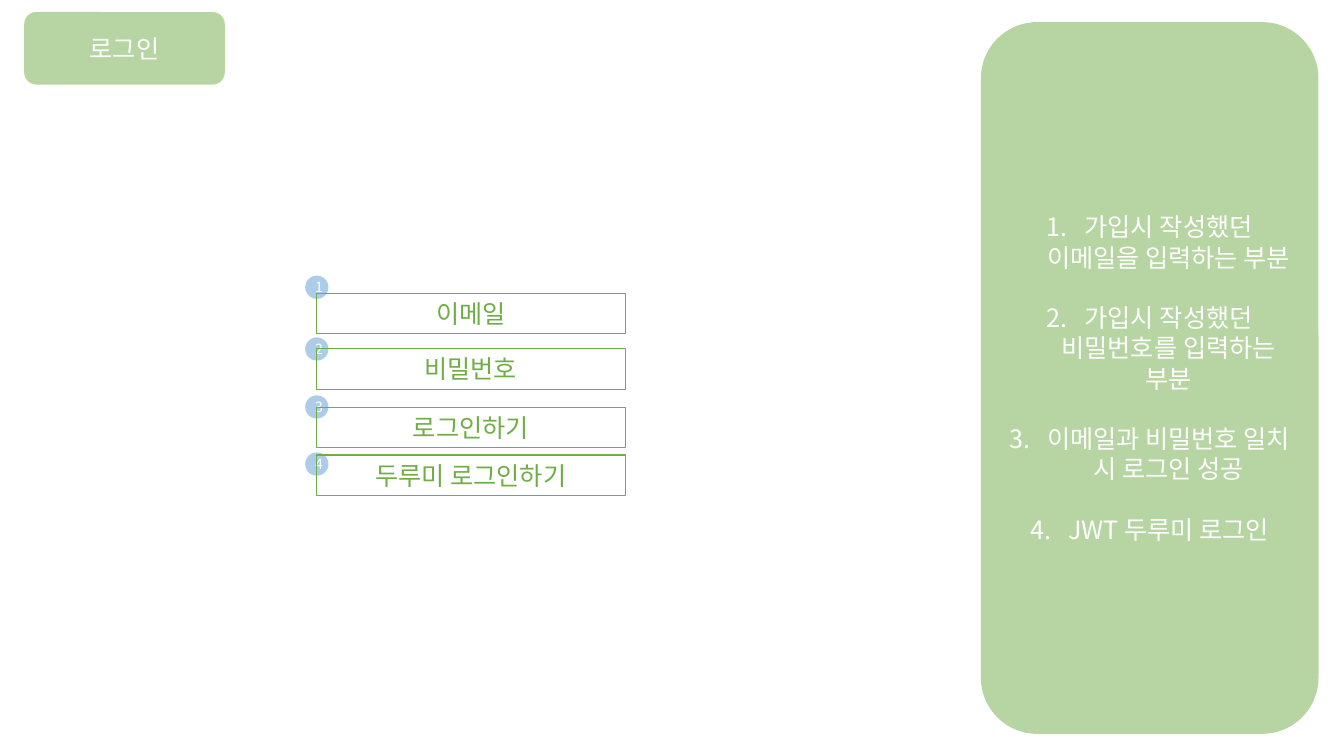
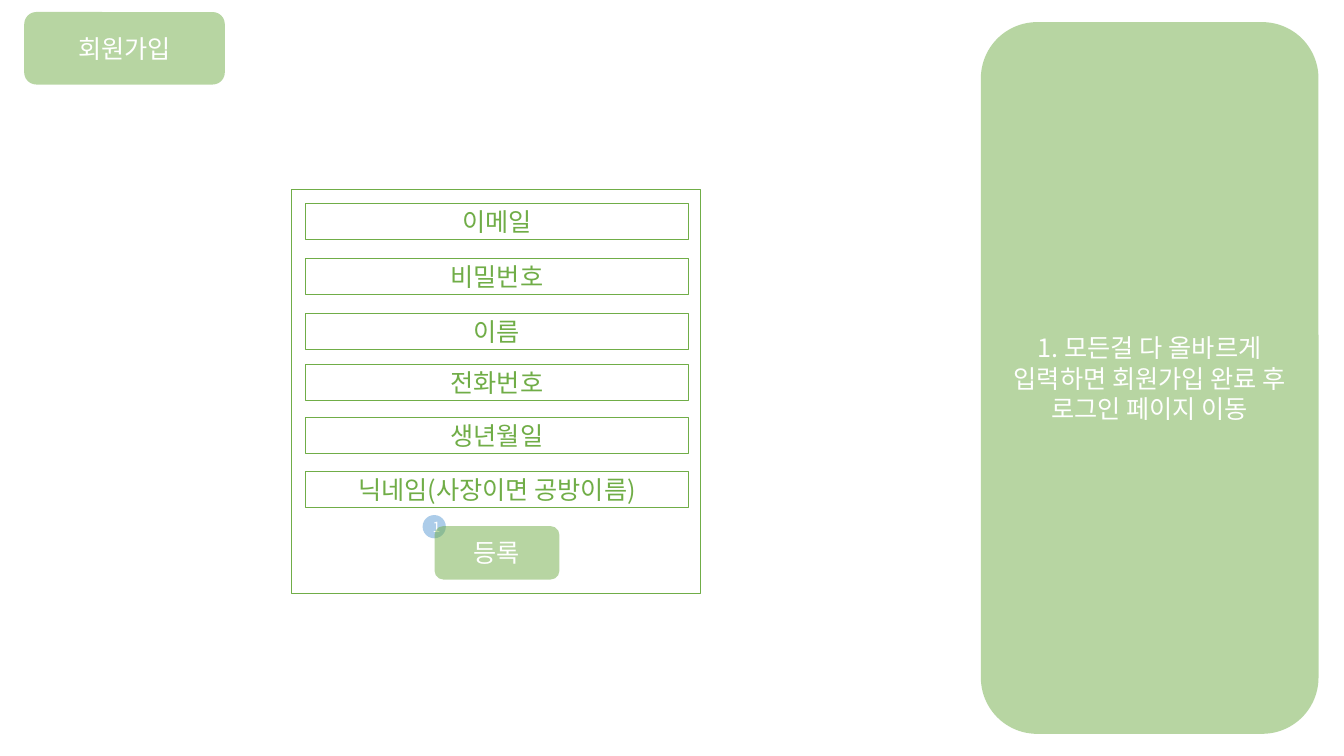
"""Build the login and sign-up wireframe slides."""
import dataclasses

import lxml.etree
import pptx
import pptx.dml.color
import pptx.enum.shapes
import pptx.enum.text
import pptx.oxml.ns
import pptx.util

Pt = pptx.util.Pt
SHAPES = pptx.enum.shapes.MSO_SHAPE
qn = pptx.oxml.ns.qn


@dataclasses.dataclass(frozen=True)
class Theme:
    font: str = "Noto Sans CJK KR"
    green: str = "70AD47"
    blue: str = "5B9BD5"
    white: str = "FFFFFF"
    body_size: float = 18
    badge_size: float = 10
    line_width: float = 0.75
    opacity: int = 50
    list_gap: float = 21.6
    list_indent: float = 27


class Wireframe:
    def __init__(self, theme):
        self.theme = theme
        self.deck = pptx.Presentation()
        self.deck.slide_width = Pt(960)
        self.deck.slide_height = Pt(540)
        self.page = None

    def add_page(self, title, notes, numbered=False):
        self.page = self.deck.slides.add_slide(self.deck.slide_layouts[6])
        panel = self.add_solid(SHAPES.ROUNDED_RECTANGLE, (700.6, 15.8, 241.2, 508.4), notes)
        if numbered:
            self.number_paragraphs(panel)
        self.add_button((17.3, 8.6, 143.3, 51.8), title)

    def add_box(self, kind, area, lines, color, size):
        box = self.page.shapes.add_shape(kind, *(Pt(value) for value in area))
        box.shadow.inherit = False
        frame = box.text_frame
        frame.word_wrap = True
        frame.vertical_anchor = pptx.enum.text.MSO_ANCHOR.MIDDLE
        frame.text = "\n".join(lines)
        for para in frame.paragraphs:
            para.alignment = pptx.enum.text.PP_ALIGN.CENTER
            for span in para.runs:
                span.font.size = Pt(size)
                span.font.color.rgb = pptx.dml.color.RGBColor.from_string(color)
                span.font.name = self.theme.font
                east_asian = lxml.etree.SubElement(span.font._element, qn("a:ea"))
                east_asian.set("typeface", self.theme.font)
        return box

    def add_solid(self, kind, area, lines, fill=None, size=None):
        theme = self.theme
        box = self.add_box(kind, area, lines, theme.white, size or theme.body_size)
        box.fill.solid()
        box.fill.fore_color.rgb = pptx.dml.color.RGBColor.from_string(fill or theme.green)
        color = box._element.spPr.find(".//" + qn("a:srgbClr"))
        lxml.etree.SubElement(color, qn("a:alpha")).set("val", str(theme.opacity * 1000))
        box.line.fill.background()
        return box

    def add_button(self, area, label):
        self.add_solid(SHAPES.ROUNDED_RECTANGLE, area, [label])

    def add_badge(self, left, top, number):
        area = (left, top, 16.6, 16.6)
        self.add_solid(SHAPES.OVAL, area, [str(number)], self.theme.blue, self.theme.badge_size)

    def add_outline(self, area, label=""):
        theme = self.theme
        box = self.add_box(SHAPES.RECTANGLE, area, [label], theme.green, theme.body_size)
        box.fill.background()
        box.line.color.rgb = pptx.dml.color.RGBColor.from_string(theme.green)
        box.line.width = Pt(theme.line_width)

    def number_paragraphs(self, box):
        indent = Pt(self.theme.list_indent)
        for index, para in enumerate(box.text_frame.paragraphs):
            if index:
                para.space_before = Pt(self.theme.list_gap)
            properties = para._p.get_or_add_pPr()
            properties.set("marL", str(indent))
            properties.set("indent", str(-indent))
            bullet = lxml.etree.SubElement(properties, qn("a:buAutoNum"))
            bullet.set("type", "arabicPeriod")


def build_login(wireframe):
    wireframe.add_page(
        "로그인",
        [
            "가입시 작성했던 이메일을 입력하는 부분",
            "가입시 작성했던 비밀번호를 입력하는 부분",
            "이메일과 비밀번호 일치 시 로그인 성공",
            "JWT 두루미 로그인",
        ],
        numbered=True,
    )
    fields = [
        ("이메일", 209.5, 196.9),
        ("비밀번호", 249, 241),
        ("로그인하기", 290.8, 282.4),
        ("두루미 로그인하기", 325, 323.2),
    ]
    for number, (label, top, badge_top) in enumerate(fields, 1):
        wireframe.add_badge(218, badge_top, number)
        wireframe.add_outline((226, top, 220.6, 29), label)


def build_signup(wireframe):
    wireframe.add_page(
        "회원가입",
        ["1. 모든걸 다 올바르게 입력하면 회원가입 완료 후 로그인 페이지 이동"],
    )
    wireframe.add_badge(301.9, 367.9, 1)
    wireframe.add_outline((208.1, 135.4, 292.3, 288.7))
    fields = [
        ("이메일", 145.2),
        ("비밀번호", 184.5),
        ("이름", 223.8),
        ("전화번호", 260.2),
        ("생년월일", 298.1),
        ("닉네임(사장이면 공방이름)", 336.8),
    ]
    for label, top in fields:
        wireframe.add_outline((218, top, 274, 25.9), label)
    wireframe.add_button((310.4, 375.8, 89.2, 38.2), "등록")


def main():
    wireframe = Wireframe(Theme())
    build_login(wireframe)
    build_signup(wireframe)
    wireframe.deck.save("out.pptx")


if __name__ == "__main__":
    main()
